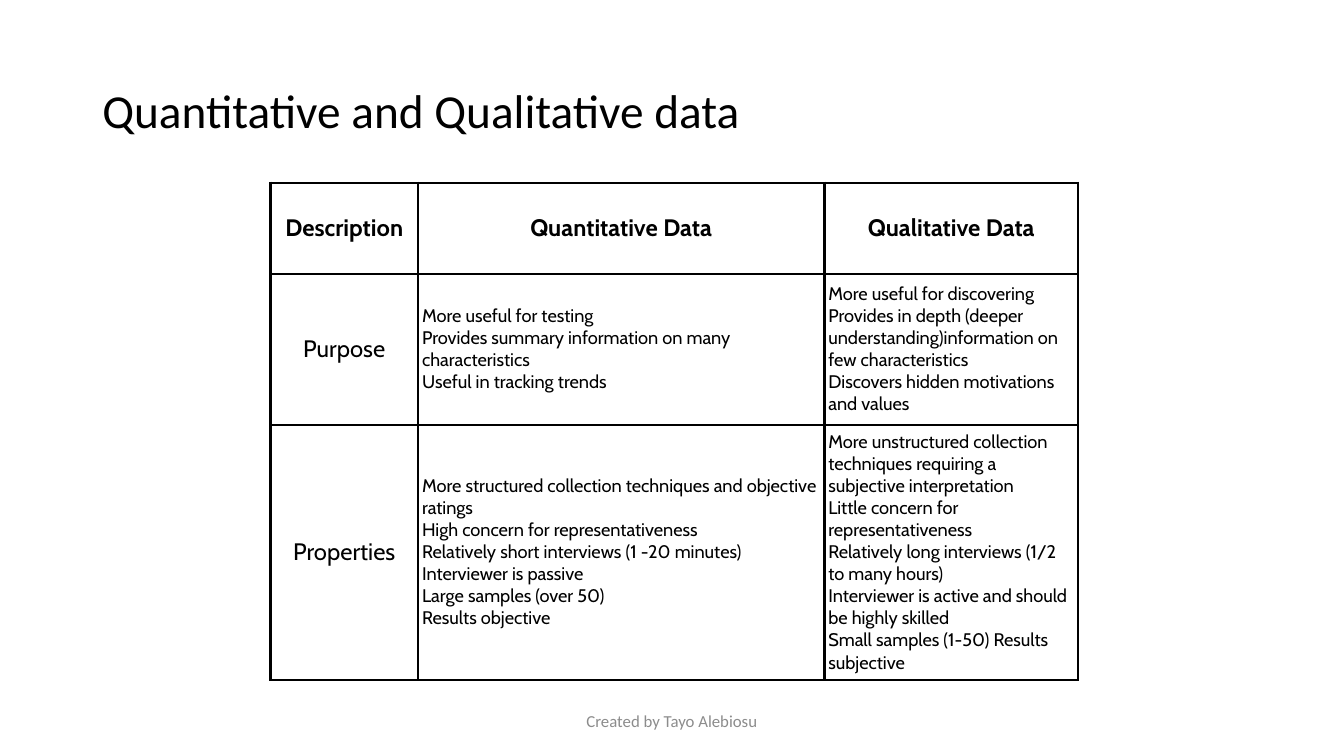
from lxml import etree
from pptx import Presentation
from pptx.dml.color import RGBColor
from pptx.enum.text import MSO_ANCHOR, PP_ALIGN
from pptx.oxml.ns import qn
from pptx.util import Pt

LEFT, CENTER = PP_ALIGN.LEFT, PP_ALIGN.CENTER
MIDDLE = MSO_ANCHOR.MIDDLE

# Content
TITLE = "Quantitative and Qualitative data"
FOOTER = "Created by Tayo Alebiosu"
HEADINGS = ["Description", "Quantitative Data", "Qualitative Data"]
COMPARISON = [
    ("Purpose",
     ["More useful for testing",
      "Provides summary information on many characteristics",
      "Useful in tracking trends"],
     ["More useful for discovering",
      "Provides in depth (deeper understanding)information on few characteristics",
      "Discovers hidden motivations and values"]),
    ("Properties",
     ["More structured collection techniques and objective ratings",
      "High concern for representativeness",
      "Relatively short interviews (1 -20 minutes)",
      "Interviewer is passive",
      "Large samples (over 50)",
      "Results objective"],
     ["More unstructured collection techniques requiring a subjective interpretation",
      "Little concern for representativeness",
      "Relatively long interviews (1/2 to many hours)",
      "Interviewer is active and should be highly skilled",
      "Small samples (1-50) Results subjective"]),
]

THEME = {
    "ink": "000000", "muted": "8C8C8C",
    "plain_font": "Calibri", "table_font": "Cabin",
    "title": 33.8, "label": 17, "body": 13, "footer": 12,
    "border": 2, "cell_margin": 2.9,
}

# Layout, in points
SLIDE_SIZE = (960, 540)
TITLE_BOX = (66, 28.8, 828, 104.4)
FOOTER_BOX = (318, 500.4, 324, 28.8)
TABLE_ORIGIN = (193.2, 130.6)
COLUMN_WIDTHS = [105.4, 290.2, 181.4]
ROW_HEIGHTS = [65, 108, 182]


def write(frame, lines, *, size, font=THEME["table_font"], color=THEME["ink"],
          bold=False, align=LEFT, line_spacing=None):
    frame.word_wrap = True
    for index, line in enumerate(lines):
        paragraph = frame.paragraphs[0] if index == 0 else frame.add_paragraph()
        paragraph.alignment = align
        if line_spacing:
            paragraph.line_spacing = line_spacing
        run = paragraph.add_run()
        run.text = line
        run.font.name = font
        run.font.size = Pt(size)
        run.font.bold = bold
        run.font.color.rgb = RGBColor.from_string(color)


def add_text(slide, box, text, **text_format):
    frame = slide.shapes.add_textbox(*map(Pt, box)).text_frame
    frame.vertical_anchor = MIDDLE
    write(frame, [text], font=THEME["plain_font"], **text_format)


def style_cell(cell):
    cell.vertical_anchor = MIDDLE
    margin = Pt(THEME["cell_margin"])
    cell.margin_left = cell.margin_right = margin
    cell.margin_top = cell.margin_bottom = margin
    # Borders precede the fill in the cell properties
    properties = cell._tc.get_or_add_tcPr()
    for side in ("a:lnL", "a:lnR", "a:lnT", "a:lnB"):
        border = etree.SubElement(properties, qn(side), w=str(Pt(THEME["border"])))
        fill = etree.SubElement(border, qn("a:solidFill"))
        etree.SubElement(fill, qn("a:srgbClr"), val=THEME["ink"])
    cell.fill.background()


def add_comparison(slide):
    rows = [[[heading] for heading in HEADINGS]]
    rows += [[[label], quantitative, qualitative]
             for label, quantitative, qualitative in COMPARISON]
    extent = (sum(COLUMN_WIDTHS), sum(ROW_HEIGHTS))
    table = slide.shapes.add_table(len(rows), len(HEADINGS),
                                   *map(Pt, TABLE_ORIGIN + extent)).table
    table.first_row = table.horz_banding = False
    for column, width in zip(table.columns, COLUMN_WIDTHS):
        column.width = Pt(width)
    for row, height in zip(table.rows, ROW_HEIGHTS):
        row.height = Pt(height)
    for r, row_content in enumerate(rows):
        for c, lines in enumerate(row_content):
            cell = table.cell(r, c)
            style_cell(cell)
            is_label = r == 0 or c == 0
            write(cell.text_frame, lines, bold=r == 0,
                  size=THEME["label" if is_label else "body"],
                  align=CENTER if is_label else LEFT)


def main():
    deck = Presentation()
    deck.slide_width, deck.slide_height = map(Pt, SLIDE_SIZE)
    slide = deck.slides.add_slide(deck.slide_layouts[6])

    # Title, table, footer
    add_text(slide, TITLE_BOX, TITLE, size=THEME["title"], line_spacing=0.9)
    add_comparison(slide)
    add_text(slide, FOOTER_BOX, FOOTER, size=THEME["footer"],
             color=THEME["muted"], align=CENTER)
    deck.save("out.pptx")


if __name__ == "__main__":
    main()
